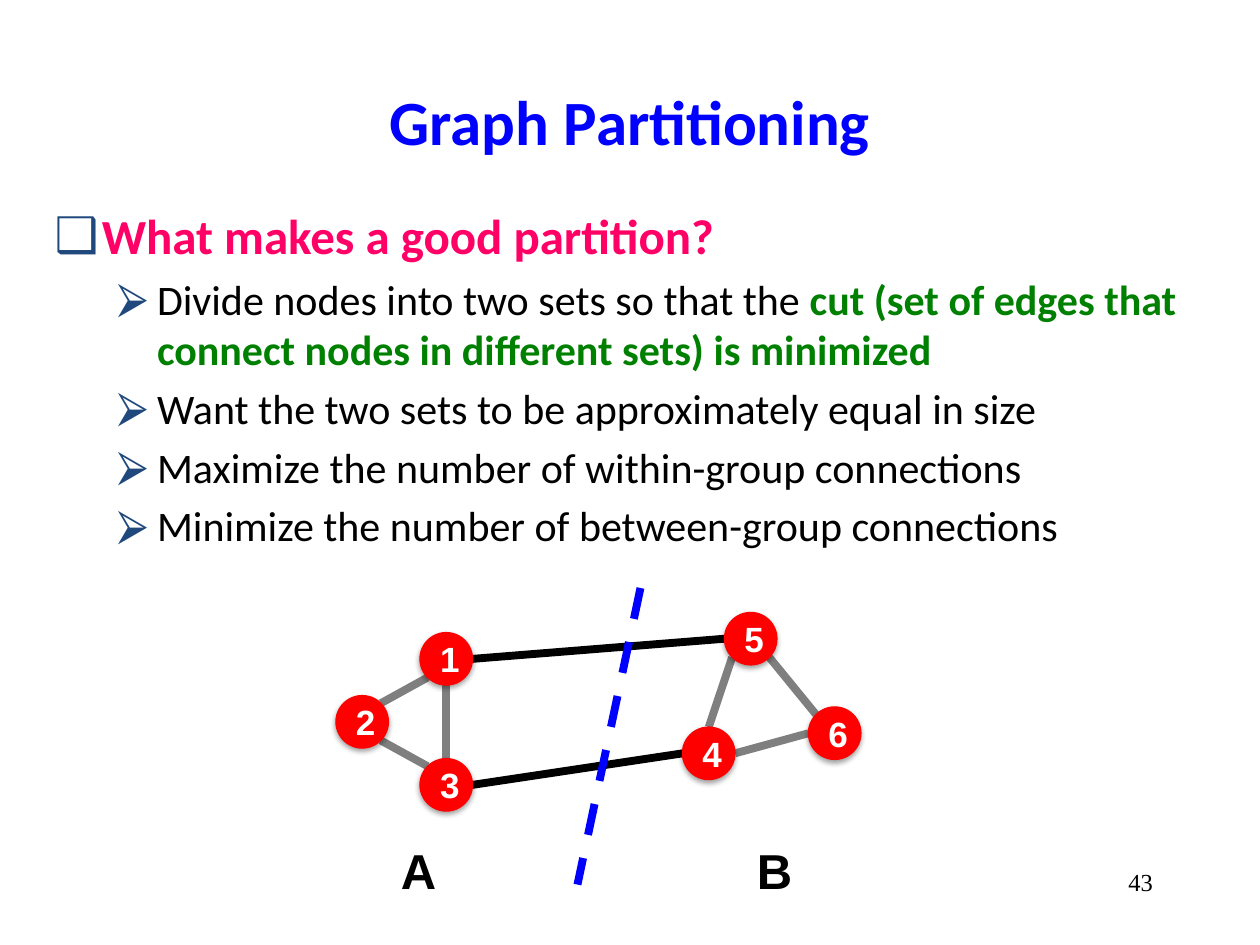
from dataclasses import dataclass
from math import cos, radians, sin

from lxml import etree
from pptx import Presentation
from pptx.dml.color import RGBColor
from pptx.enum.dml import MSO_LINE
from pptx.enum.shapes import MSO_CONNECTOR, MSO_SHAPE
from pptx.enum.text import MSO_ANCHOR, MSO_AUTO_SIZE, PP_ALIGN
from pptx.oxml.ns import qn
from pptx.util import Pt

STRAIGHT = MSO_CONNECTOR.STRAIGHT
OVAL = MSO_SHAPE.OVAL
DASH = MSO_LINE.DASH
MIDDLE = MSO_ANCHOR.MIDDLE
NO_AUTOFIT = MSO_AUTO_SIZE.NONE
LEFT, CENTER, RIGHT = PP_ALIGN.LEFT, PP_ALIGN.CENTER, PP_ALIGN.RIGHT


@dataclass(frozen=True)
class Theme:
    """Colours, fonts and sizes of the slide."""
    blue: str = "0000FF"
    pink: str = "FF0066"
    green: str = "008000"
    black: str = "000000"
    white: str = "FFFFFF"
    gray: str = "7F7F7F"
    red: str = "FF0000"
    bullet: str = "1F497D"
    body_font: str = "Calibri"
    graph_font: str = "Arial"
    number_font: str = "Times New Roman"
    title_size: float = 36
    heading_size: float = 28
    item_size: float = 24
    node_size: float = 20
    number_size: float = 14
    edge_width: float = 4.5
    node_diameter: float = 30


THEME = Theme()
ITEMS = [
    [("Divide nodes into two sets so that the ", THEME.black, False),
     ("cut (set of edges that connect nodes in different sets) is minimized",
      THEME.green, True)],
    [("Want the two sets to be approximately equal in size", THEME.black, False)],
    [("Maximize the number of within-group connections", THEME.black, False)],
    [("Minimize the number of between-group connections", THEME.black, False)],
]
NODE_CENTERS = {
    "1": (255, 376.5), "3": (255, 448.5), "2": (207, 412.5),
    "5": (429, 365), "4": (405, 430.5), "6": (477, 419),
}
SITE_ANGLES = {
    "right": 0, "bottom right": 45, "bottom": 90, "bottom left": 135,
    "left": 180, "top left": 225, "top": 270, "top right": 315,
}
EDGES = [
    ("1", "bottom left", "2", "top right", THEME.gray),
    ("2", "bottom right", "3", "top left", THEME.gray),
    ("1", "bottom", "3", "top", THEME.gray),
    ("1", "right", "5", "left", THEME.black),
    ("3", "right", "4", "left", THEME.black),
    ("5", "bottom right", "6", "top left", THEME.gray),
    ("4", "right", "6", "left", THEME.gray),
    ("5", "bottom left", "4", "top", THEME.gray),
]


def add_run(paragraph, text, font, size, color, bold):
    """Append one formatted run to a paragraph."""
    run = paragraph.add_run()
    run.text = text
    run.font.name = font
    run.font.size = Pt(size)
    run.font.bold = bold
    run.font.color.rgb = RGBColor.from_string(color)


def place(shape, left, top, width, height):
    """Move and size a shape in points."""
    shape.left, shape.top = Pt(left), Pt(top)
    shape.width, shape.height = Pt(width), Pt(height)


def set_bullet(paragraph, character, margin, hanging):
    """Give a paragraph a coloured bullet and a hanging indent."""
    properties = paragraph._p.get_or_add_pPr()
    properties.set("marL", str(Pt(margin)))
    properties.set("indent", str(-Pt(hanging)))
    color = etree.SubElement(properties, qn("a:buClr"))
    etree.SubElement(color, qn("a:srgbClr"), val=THEME.bullet)
    etree.SubElement(properties, qn("a:buChar"), char=character)


def fill_title(title):
    """Write the slide title."""
    place(title, 54, 24, 612, 90)
    frame = title.text_frame
    frame.auto_size = NO_AUTOFIT
    frame.vertical_anchor = MIDDLE
    paragraph = frame.paragraphs[0]
    paragraph.alignment = CENTER
    add_run(paragraph, "Graph Partitioning", THEME.body_font,
            THEME.title_size, THEME.blue, True)


def fill_body(body):
    """Write the question and its bulleted answers."""
    place(body, 24, 114, 666, 366)
    frame = body.text_frame
    frame.auto_size = NO_AUTOFIT
    heading = frame.paragraphs[0]
    heading.space_before = Pt(0)
    set_bullet(heading, "❑", 27, 27)
    add_run(heading, "What makes a good partition?", THEME.body_font,
            THEME.heading_size, THEME.pink, True)
    for item in ITEMS:
        paragraph = frame.add_paragraph()
        paragraph.level = 1
        paragraph.space_before = Pt(4.8)
        set_bullet(paragraph, "⮚", 58.5, 22.5)
        for text, color, bold in item:
            add_run(paragraph, text, THEME.body_font, THEME.item_size, color, bold)


def add_label(shapes, text, box, font, size, bold, alignment):
    """Add a one-line text box."""
    label = shapes.add_textbox(*map(Pt, box))
    paragraph = label.text_frame.paragraphs[0]
    paragraph.alignment = alignment
    add_run(paragraph, text, font, size, THEME.black, bold)


def add_line(shapes, start, end, color):
    """Add a thick straight line without a shadow and return it."""
    line = shapes.add_connector(STRAIGHT, *map(Pt, (*start, *end)))
    line.line.width = Pt(THEME.edge_width)
    line.line.color.rgb = RGBColor.from_string(color)
    etree.SubElement(line._element.spPr, qn("a:effectLst"))
    return line


def node_site(name, site):
    """Return the point on a node's rim at a named site."""
    x, y = NODE_CENTERS[name]
    angle = radians(SITE_ANGLES[site])
    radius = THEME.node_diameter / 2
    return x + radius * cos(angle), y + radius * sin(angle)


def add_soft_shadow(shape):
    """Give a shape a soft shadow that falls straight down."""
    shape.shadow.inherit = False
    effects = shape._element.spPr.find(qn("a:effectLst"))
    shadow = etree.SubElement(
        effects, qn("a:outerShdw"), blurRad=str(Pt(3.1)), dist=str(Pt(1.6)),
        dir="5400000", rotWithShape="0")
    color = etree.SubElement(shadow, qn("a:srgbClr"), val=THEME.black)
    etree.SubElement(color, qn("a:alpha"), val="37000")


def add_node(shapes, name):
    """Add a numbered graph node."""
    x, y = NODE_CENTERS[name]
    diameter = THEME.node_diameter
    node = shapes.add_shape(OVAL, Pt(x - diameter / 2), Pt(y - diameter / 2),
                            Pt(diameter), Pt(diameter))
    node.fill.solid()
    node.fill.fore_color.rgb = RGBColor.from_string(THEME.red)
    node.line.color.rgb = RGBColor.from_string(THEME.red)
    node.line.width = Pt(0.75)
    add_soft_shadow(node)
    node.text_frame.vertical_anchor = MIDDLE
    paragraph = node.text_frame.paragraphs[0]
    paragraph.alignment = CENTER
    add_run(paragraph, name, THEME.graph_font, THEME.node_size, THEME.white, True)


def add_graph(slide):
    """Draw the partitioned graph as one group."""
    shapes = slide.shapes.add_group_shape().shapes
    for start, start_site, end, end_site, color in EDGES:
        add_line(shapes, node_site(start, start_site), node_site(end, end_site), color)
    for name in NODE_CENTERS:
        add_node(shapes, name)
    cut = add_line(shapes, (366, 336), (330, 505.5), THEME.blue)
    cut.line.dash_style = DASH
    for text, left in (("A", 222), ("B", 425.5)):
        add_label(shapes, text, (left, 476.5, 35.5, 41), THEME.graph_font,
                  THEME.heading_size, True, LEFT)


def main():
    """Build and save the slide."""
    presentation = Presentation()
    presentation.slide_width, presentation.slide_height = Pt(720), Pt(540)
    slide = presentation.slides.add_slide(presentation.slide_layouts[1])
    fill_title(slide.shapes.title)
    fill_body(slide.placeholders[1])
    add_label(slide.shapes, "43", (516, 492, 150, 36), THEME.number_font,
              THEME.number_size, False, RIGHT)
    add_graph(slide)
    presentation.save("out.pptx")


if __name__ == "__main__":
    main()
